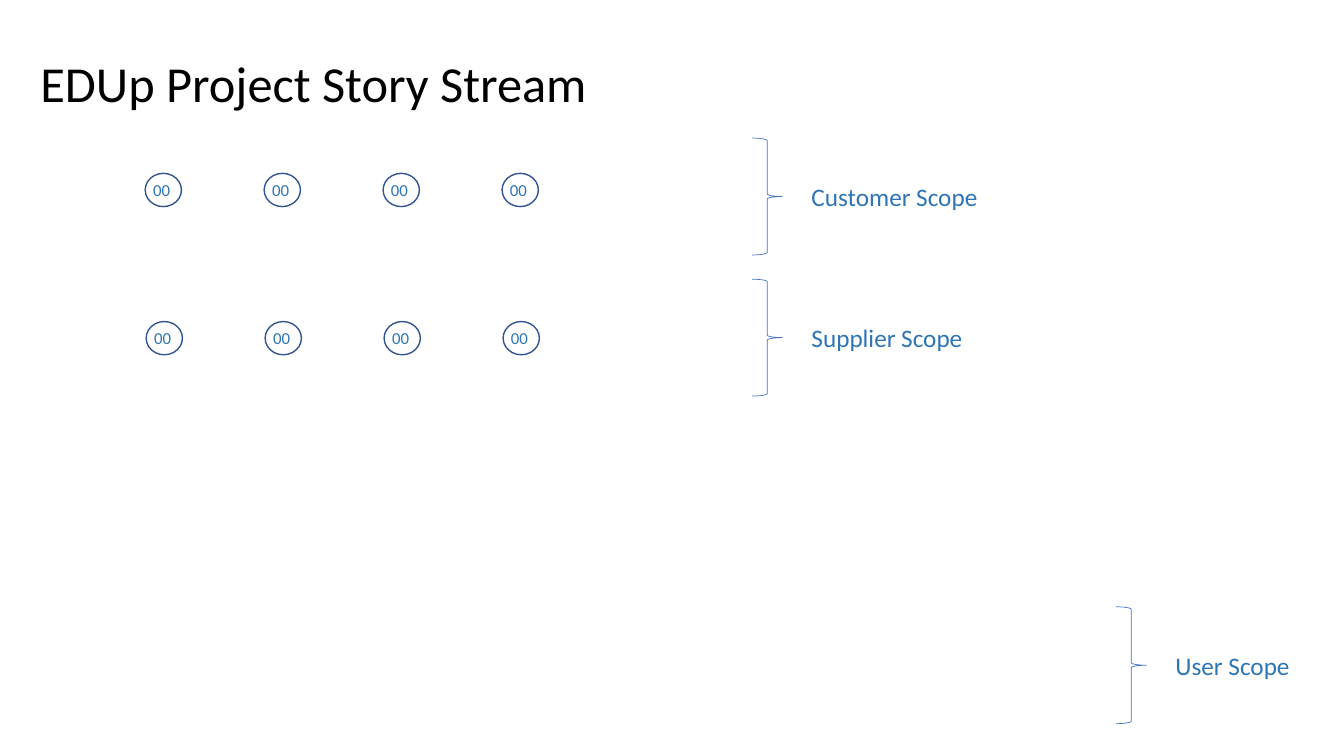
from dataclasses import dataclass

import pptx
import pptx.dml.color
import pptx.enum.shapes
import pptx.enum.text
import pptx.util
from pptx.util import Inches

FONT = "Calibri"
TEXT_BLUE = "2E75B6"
MARKER_COUNT = 4
MARKER_PITCH = 1.18


@dataclass
class MarkerRow:
    left: float
    top: float


@dataclass
class Scope:
    left: float
    top: float
    label: str
    label_width: float


MARKER_ROWS = [MarkerRow(1.44, 1.72), MarkerRow(1.45, 3.19)]
SCOPES = [
    Scope(7.46, 1.37, "Customer Scope", 1.87),
    Scope(7.46, 2.77, "Supplier Scope", 1.72),
    Scope(11.07, 6.02, "User Scope", 1.35),
]


def colour(value: str) -> pptx.dml.color.RGBColor:
    """Turn a hex string into a colour."""
    return pptx.dml.color.RGBColor.from_string(value)


def add_span(para, text: str, size: float, hex_colour: str) -> None:
    """Add one formatted run to a paragraph."""
    span = para.add_run()
    span.text = text
    span.font.name = FONT
    span.font.size = pptx.util.Pt(size)
    span.font.color.rgb = colour(hex_colour)


def add_label(group, left: float, top: float, width: float, height: float,
              text: str, size: float) -> None:
    """Add an unwrapped blue text box to a group."""
    box = group.shapes.add_textbox(Inches(left), Inches(top), Inches(width), Inches(height))
    box.text_frame.word_wrap = False
    box.text_frame.auto_size = pptx.enum.text.MSO_AUTO_SIZE.SHAPE_TO_FIT_TEXT
    add_span(box.text_frame.paragraphs[0], text, size, TEXT_BLUE)


def add_outline(group, kind, left: float, top: float, width: float, height: float,
                hex_colour: str, weight: float) -> None:
    """Add an unfilled preset shape to a group."""
    shape = group.shapes.add_shape(kind, Inches(left), Inches(top), Inches(width), Inches(height))
    shape.shadow.inherit = False
    shape.fill.background()
    shape.line.color.rgb = colour(hex_colour)
    shape.line.width = pptx.util.Pt(weight)


def add_marker(page, left: float, top: float) -> None:
    """Draw a numbered circle."""
    group = page.shapes.add_group_shape()
    add_label(group, left - 0.02, top + 0.01, 0.37, 0.3, "00", 12)
    add_outline(group, pptx.enum.shapes.MSO_SHAPE.OVAL, left, top, 0.36, 0.33, "325491", 1)


def add_scope(page, scope: Scope) -> None:
    """Draw a brace with its scope label."""
    group = page.shapes.add_group_shape()
    add_outline(group, pptx.enum.shapes.MSO_SHAPE.RIGHT_BRACE,
                scope.left, scope.top, 0.3, 1.16, "4472C4", 0.5)
    add_label(group, scope.left + 0.49, scope.top + 0.38, scope.label_width, 0.4, scope.label, 18)


def add_title(page, text: str) -> None:
    """Place and format the slide title."""
    title = page.shapes.title
    title.left, title.top = Inches(0.3), Inches(0)
    title.width, title.height = Inches(13.04), Inches(1.72)
    title.text_frame.vertical_anchor = pptx.enum.text.MSO_ANCHOR.MIDDLE
    para = title.text_frame.paragraphs[0]
    para.alignment = pptx.enum.text.PP_ALIGN.LEFT
    para.line_spacing = 0.9
    add_span(para, text, 36, "000000")


def main() -> None:
    """Build and save the slide."""
    deck = pptx.Presentation()
    deck.slide_width, deck.slide_height = Inches(13.33), Inches(7.5)
    page = deck.slides.add_slide(deck.slide_layouts.get_by_name("Title Only"))
    add_title(page, "EDUp Project Story Stream")
    for row in MARKER_ROWS:
        for column in range(MARKER_COUNT):
            add_marker(page, row.left + column * MARKER_PITCH, row.top)
    for scope in SCOPES:
        add_scope(page, scope)
    deck.save("out.pptx")


main()
